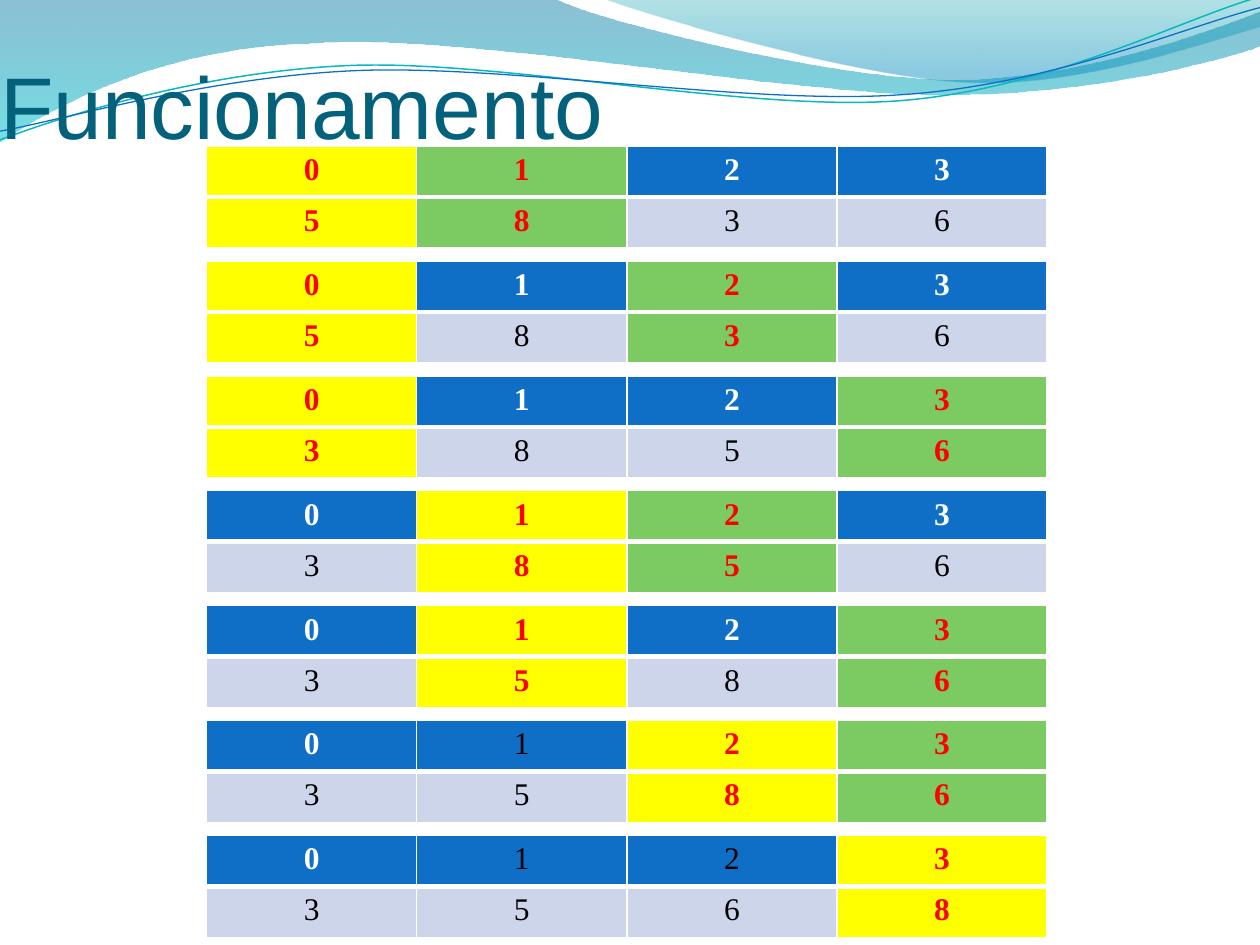
from math import cos, radians, sin

from lxml import etree
from pptx import Presentation
from pptx.dml.color import RGBColor
from pptx.enum.text import MSO_ANCHOR as Anchor, MSO_AUTO_SIZE as AutoSize, PP_ALIGN as Align
from pptx.oxml import parse_xml
from pptx.oxml.ns import nsdecls, qn
from pptx.util import Inches, Pt

COLORS = {
    "title": "04617B", "white": "FFFFFF", "black": "000000", "red": "FF0000",
    "current": "FFFF00", "compared": "7CCA62", "header": "0F6FC6", "body": "CCD5EA",
    "wave_blue": "0074A1", "wave_aqua": "00C6CF", "crest_teal": "00A1A9",
    "crest_blue": "008BBF", "line_teal": "0AB8BF", "line_blue": "0F6FC6",
}

# Outlines: a start point, then straight steps (one point) or Bezier steps (three points).
WAVE = [[(0, 0)], [(4.4, -0.01)],
        [(4.76, 0.17), (6.64, 0.63), (7.58, 0.63)],
        [(8.53, 0.63), (9.58, 0.26), (10, 0.09)], [(10.01, 0.36)],
        [(9.83, 0.44), (8.7, 0.76), (7.46, 0.75)],
        [(6.22, 0.75), (3.82, 0.28), (2.57, 0.34)],
        [(1.29, 0.36), (0.46, 0.83), (-0.01, 1.13)], [(0, 0)]]
CREST = [[(4.79, -0.01)],
         [(5.09, 0.11), (6.82, 0.62), (7.69, 0.65)],
         [(8.56, 0.69), (9.61, 0.32), (10, 0.21)], [(10, 0)], [(4.79, -0.01)]]
TEAL_LINE = [[(0, 1.11)],
             [(0.48, 0.93), (1.58, 0.57), (2.77, 0.52)],
             [(3.95, 0.47), (5.93, 0.89), (7.13, 0.8)],
             [(8.33, 0.71), (9.38, 0.15), (9.98, -0.02)]]
BLUE_LINE = [[(0, 1.04)],
             [(0.47, 0.96), (1.64, 0.61), (2.83, 0.56)],
             [(4.03, 0.51), (5.97, 0.84), (7.17, 0.75)],
             [(8.36, 0.67), (9.41, 0.21), (10, 0.06)]]
TILT = -2.7

# Values, current column, compared column, header columns in plain black
STEPS = [
    ("5836", 0, 1, ()),
    ("5836", 0, 2, ()),
    ("3856", 0, 3, ()),
    ("3856", 1, 2, ()),
    ("3586", 1, 3, ()),
    ("3586", 2, 3, (1,)),
    ("3568", 3, None, (1, 2)),
]
FIRST_TOP, LAST_TOP = 1.16, 6.63


def rgb(name):
    return RGBColor.from_string(COLORS[name])


def write(tf, text, *, font, size, color, bold=False, align=Align.LEFT):
    p = tf.paragraphs[0]
    p.alignment = align
    r = p.add_run()
    r.text = text
    r.font.name, r.font.size, r.font.bold = font, Pt(size), bold
    r.font.color.rgb = rgb(color)


def turn(outline, angle, cx, cy):
    """Rotate an outline clockwise about a centre."""
    c, s = cos(radians(angle)), sin(radians(angle))
    return [[(cx + (x - cx) * c - (y - cy) * s, cy + (x - cx) * s + (y - cy) * c)
             for x, y in step] for step in outline]


def set_borders(cell, **widths):
    """Draw white borders; sides are L, R, T and B, widths in points."""
    tcPr = cell._tc.get_or_add_tcPr()
    for i, side in enumerate("LRTB"):
        tcPr.insert(i, parse_xml(
            f'<a:ln{side} {nsdecls("a")} w="{Pt(widths.get(side, 1))}"><a:solidFill>'
            f'<a:srgbClr val="{COLORS["white"]}"/></a:solidFill></a:ln{side}>'))


class Deck:
    title_font, cell_font = "Arial", "Times New Roman"

    def __init__(self):
        self.prs = Presentation()
        self.prs.slide_width, self.prs.slide_height = Inches(10), Inches(7.5)
        self.slide = self.prs.slides.add_slide(self.prs.slide_layouts[5])

    def freeform(self, outline, close):
        """Build a polygon of all points, then merge each Bezier triple into one curve."""
        points = [(Inches(x), Inches(y)) for step in outline for x, y in step]
        builder = self.slide.shapes.build_freeform(*points[0])
        builder.add_line_segments(points[1:], close=close)
        sp = builder.convert_to_shape()
        sp.shadow.inherit = False
        lines = iter(list(sp.element.iter(qn("a:lnTo"))))
        for step in outline[1:]:
            group = [next(lines) for _ in step]
            if len(group) == 3:
                curve = etree.Element(qn("a:cubicBezTo"))
                group[0].addprevious(curve)
                for line in group:
                    curve.append(line[0])
                    line.getparent().remove(line)
        return sp

    def wave(self, outline, *stops):
        """Filled wave; each stop is position %, colour, opacity %, from top to bottom."""
        sp = self.freeform(outline, True)
        sp.line.fill.background()
        grad = parse_xml(f'<a:gradFill {nsdecls("a")} rotWithShape="1"><a:gsLst/>'
                         '<a:lin ang="5400000" scaled="0"/></a:gradFill>')
        for pos, color, opacity in stops:
            gs = etree.SubElement(grad[0], qn("a:gs"), pos=str(pos * 1000))
            clr = etree.SubElement(gs, qn("a:srgbClr"), val=COLORS[color])
            etree.SubElement(clr, qn("a:alpha"), val=str(opacity * 1000))
        sp.element.spPr.find(qn("a:custGeom")).addnext(grad)

    def curve(self, outline, color, width, cy):
        """Tilted line, drawn level about its centre and then rotated."""
        sp = self.freeform(turn(outline, -TILT, 4.99, cy), False)
        sp.rotation = TILT
        sp.fill.background()
        sp.line.color.rgb = rgb(color)
        sp.line.width = Pt(width)

    def title(self, text):
        sp = self.slide.shapes.title
        self.slide.shapes.element.append(sp.element)  # in front of the waves
        sp.left, sp.top, sp.width, sp.height = 0, 0, Inches(9.08), Inches(1.25)
        tf = sp.text_frame
        tf.auto_size, tf.vertical_anchor = AutoSize.NONE, Anchor.BOTTOM
        tf.margin_left = tf.margin_right = tf.margin_bottom = 0
        tf.margin_top = Inches(0.05)
        write(tf, text, font=self.title_font, size=50, color="title")

    def step_table(self, top, values, current, compared, plain):
        """Array indexes over values, with the two columns in play marked."""
        table = self.slide.shapes.add_table(
            2, len(values), Inches(1.64), Inches(top), Inches(6.67), Inches(0.81)).table
        marks = {current: "current", compared: "compared"}
        for col, value in enumerate(values):
            for row, text in enumerate((str(col), value)):
                fill = marks.get(col, ("header", "body")[row])
                if col in marks:
                    color = "red"
                else:
                    color = "black" if row or col in plain else "white"
                cell = table.cell(row, col)
                cell.fill.solid()
                cell.fill.fore_color.rgb = rgb(fill)
                set_borders(cell, **{"BT"[row]: 3})
                write(cell.text_frame, text, font=self.cell_font, size=18, color=color,
                      bold=color != "black", align=Align.CENTER)


def main():
    deck = Deck()
    deck.wave(WAVE, (0, "wave_blue", 45), (100, "wave_aqua", 55))
    deck.wave(CREST, (0, "crest_teal", 30), (80, "crest_blue", 45))
    deck.curve(TEAL_LINE, "line_teal", 0.85, cy=0.58)
    deck.curve(BLUE_LINE, "line_blue", 0.75, cy=0.59)
    deck.title("Funcionamento")
    pitch = (LAST_TOP - FIRST_TOP) / (len(STEPS) - 1)
    for i, step in enumerate(STEPS):
        deck.step_table(FIRST_TOP + i * pitch, *step)
    deck.prs.save("out.pptx")


if __name__ == "__main__":
    main()
